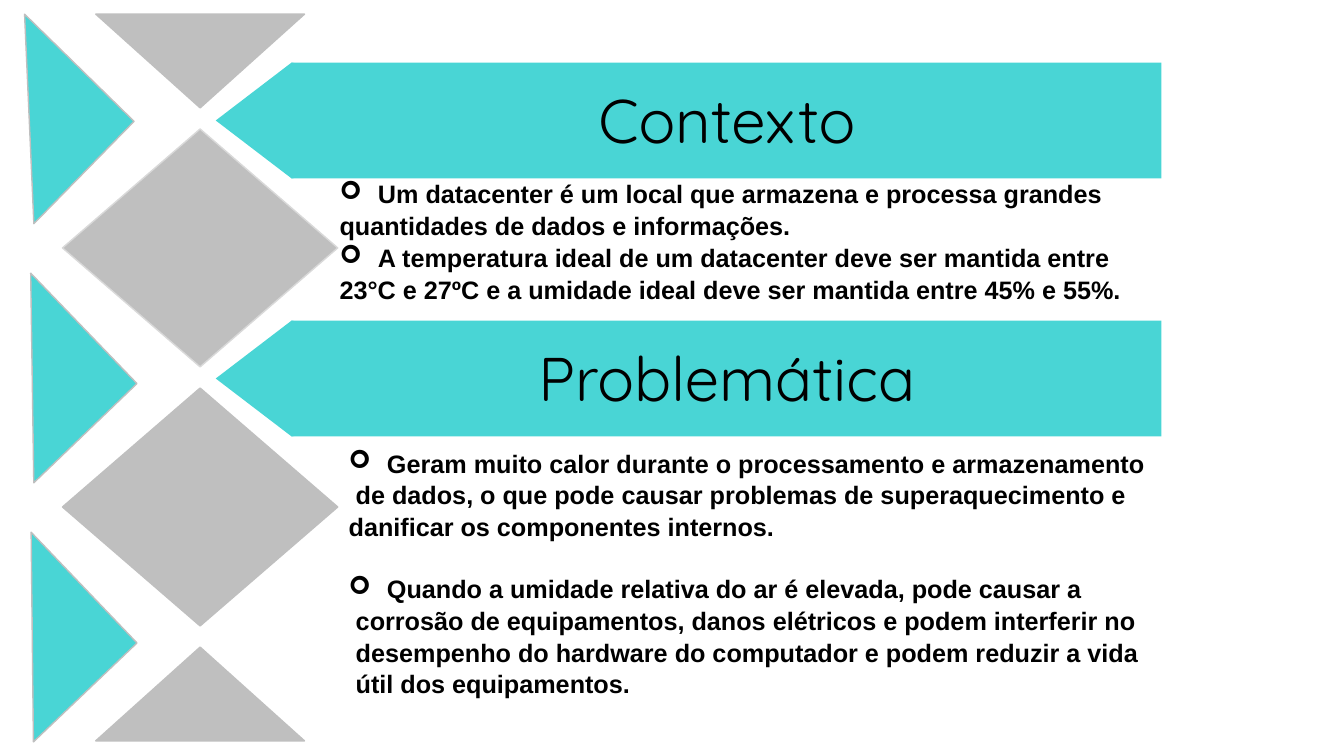
from pptx import Presentation
from pptx.dml.color import RGBColor
from pptx.enum.shapes import MSO_SHAPE
from pptx.enum.text import MSO_AUTO_SIZE, PP_ALIGN
from pptx.oxml import parse_xml
from pptx.oxml.ns import nsdecls
from pptx.util import Inches, Pt

TEAL, GRAY, LIGHT, BLACK = "49D5D5", "BFBFBF", "D9D9D9", "000000"


def color(value):
    return RGBColor.from_string(value)


def add_figure(kind, left, top, width, height, fill, line=None, rotation=0):
    figure = page.shapes.add_shape(
        kind, Inches(left), Inches(top), Inches(width), Inches(height))
    figure.shadow.inherit = False
    figure.rotation = rotation
    figure.fill.solid()
    figure.fill.fore_color.rgb = color(fill)
    if line:
        figure.line.color.rgb = color(line)
        figure.line.width = Pt(1)
    else:
        figure.line.fill.background()


deck = Presentation()
deck.slide_width = Inches(13.33)
deck.slide_height = Inches(7.5)
page = deck.slides.add_slide(deck.slide_layouts[6])

for row, (left, rotation) in enumerate([(-0.47, 224.4), (-0.44, 226.1), (-0.44, 226.3)]):
    add_figure(MSO_SHAPE.RIGHT_TRIANGLE, left, 0.47 + 2.57 * row, 1.52, 1.42,
               TEAL, GRAY, rotation)

for row, line in enumerate([LIGHT, GRAY]):
    add_figure(MSO_SHAPE.DIAMOND, 0.62, 1.28 + 2.57 * row, 2.73, 2.36, GRAY, line)

for top, rotation in [(0.14, 180), (6.42, 0)]:
    add_figure(MSO_SHAPE.ISOSCELES_TRIANGLE, 0.95, top, 2.07, 0.93, GRAY, GRAY, rotation)

for row, (title, width) in enumerate([("Contexto", 2.9), ("Problemática", 4.17)]):
    shift = 2.56 * row
    add_figure(MSO_SHAPE.RECTANGLE, 2.89, 0.62 + shift, 8.63, 1.15, TEAL)
    add_figure(MSO_SHAPE.REGULAR_PENTAGON, 2.55, 0.21 + shift, 1.15, 1.97, TEAL, rotation=270)
    box = page.shapes.add_textbox(
        Inches(7.21 - width / 2), Inches(0.76 + shift), Inches(width), Inches(0.84))
    box.text_frame.text = title
    box.text_frame.word_wrap = False
    box.text_frame.auto_size = MSO_AUTO_SIZE.SHAPE_TO_FIT_TEXT
    para = box.text_frame.paragraphs[0]
    para.alignment = PP_ALIGN.CENTER
    para.font.name = "Quicksand"
    para.font.size = Pt(44)
    para.font.color.rgb = color(BLACK)

CONTEXT = [
    ("➢", "Um datacenter é um local que armazena e processa grandes"),
    (0, "quantidades de dados e informações."),
    ("➢", "A temperatura ideal de um datacenter deve ser mantida entre"),
    (0, "23°C e 27ºC e a umidade ideal deve ser mantida entre 45% e 55%."),
]
PROBLEM = [
    ("➢", "Geram muito calor durante o processamento e armazenamento"),
    (0.07, "de dados, o que pode causar problemas de superaquecimento e"),
    (0, "danificar os componentes internos."),
    ("➢", "Quando a umidade relativa do ar é elevada, pode causar a"),
    (0.07, "corrosão de equipamentos, danos elétricos e podem interferir no"),
    (0.07, "desempenho do hardware do computador e podem reduzir a vida"),
    (0.07, "útil dos equipamentos."),
]

for left, top, height, gap, lines in [(3.27, 1.71, 1.3, 0, CONTEXT),
                                      (3.36, 4.38, 2.5, 21.6, PROBLEM)]:
    box = page.shapes.add_textbox(Inches(left), Inches(top), Inches(9.81), Inches(height))
    frame = box.text_frame
    frame.word_wrap = True
    frame.auto_size = MSO_AUTO_SIZE.SHAPE_TO_FIT_TEXT
    frame.text = "\n".join(text for mark, text in lines)
    for index, (para, (mark, text)) in enumerate(zip(frame.paragraphs, lines)):
        para.line_spacing = 1.05
        properties = para._p.get_or_add_pPr()
        if mark == "➢":
            if index:
                para.space_before = Pt(gap)
            properties.set("marL", str(Inches(0.38)))
            properties.set("indent", str(-Inches(0.38)))
            properties.append(parse_xml(f'<a:buFont {nsdecls("a")} typeface="Wingdings"/>'))
            properties.append(parse_xml(f'<a:buChar {nsdecls("a")} char="{mark}"/>'))
        else:
            properties.set("marL", str(Inches(mark)))
        para.font.name = "Arial"
        para.font.size = Pt(18)
        para.font.bold = True
        para.font.color.rgb = color(BLACK)

deck.save("out.pptx")
